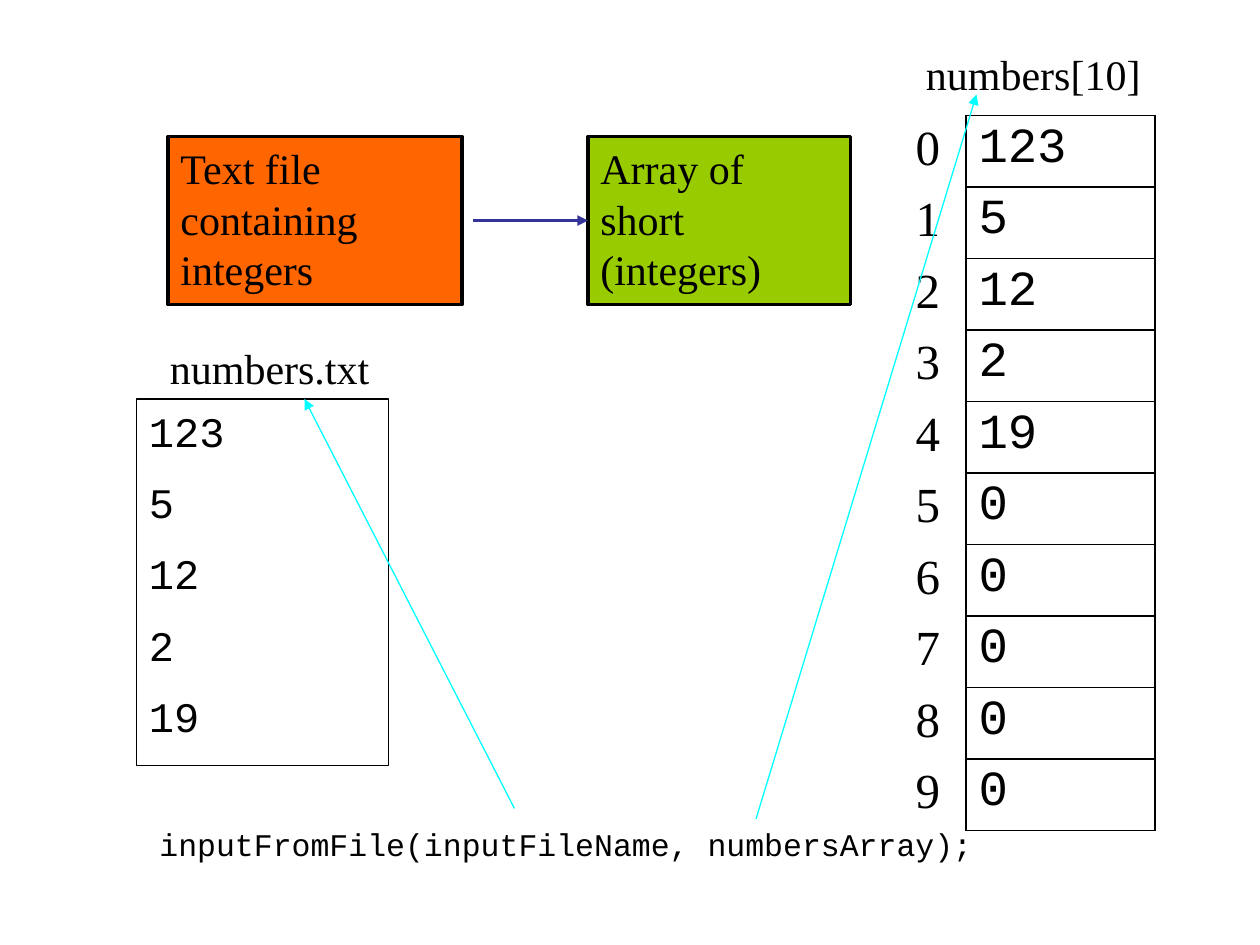
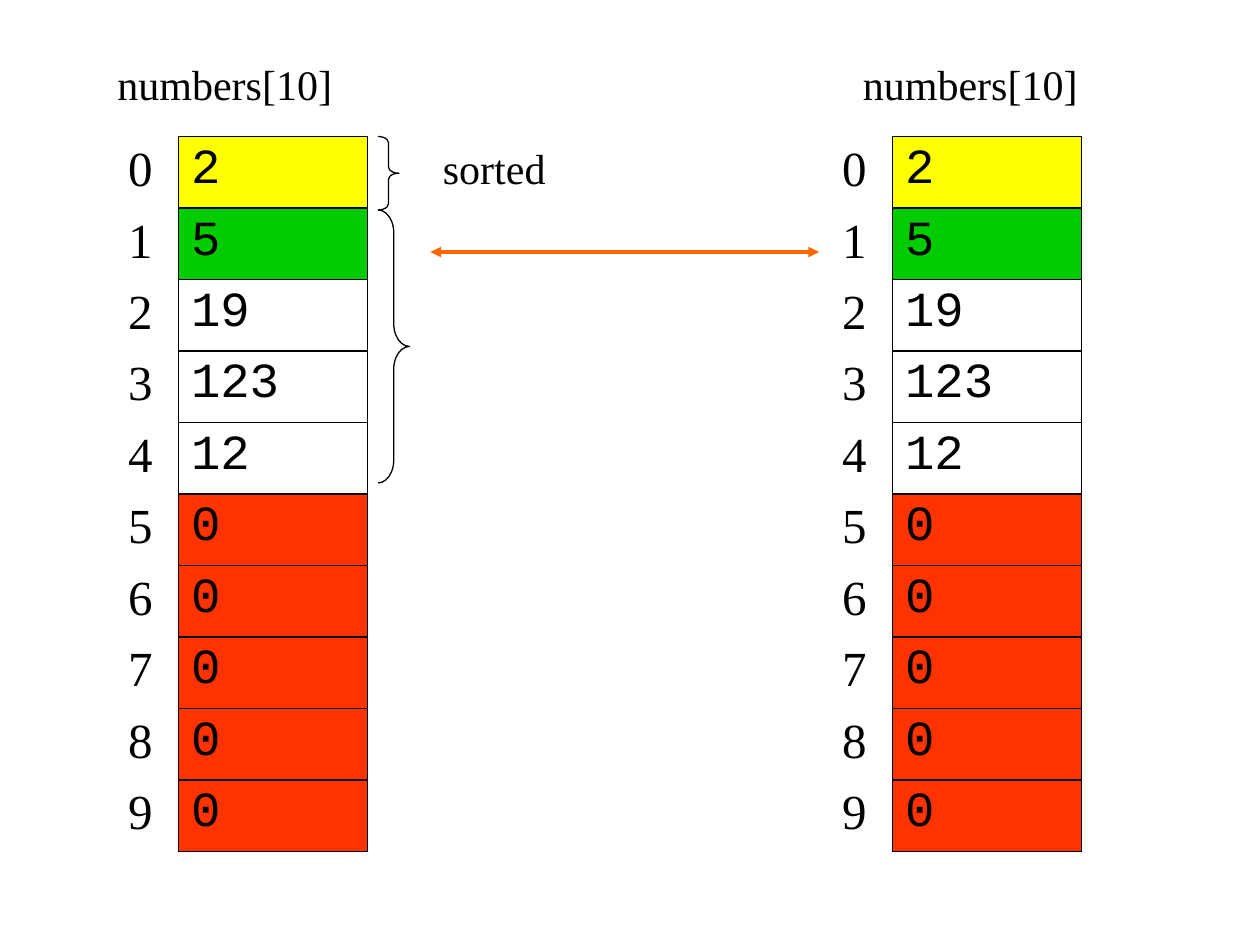
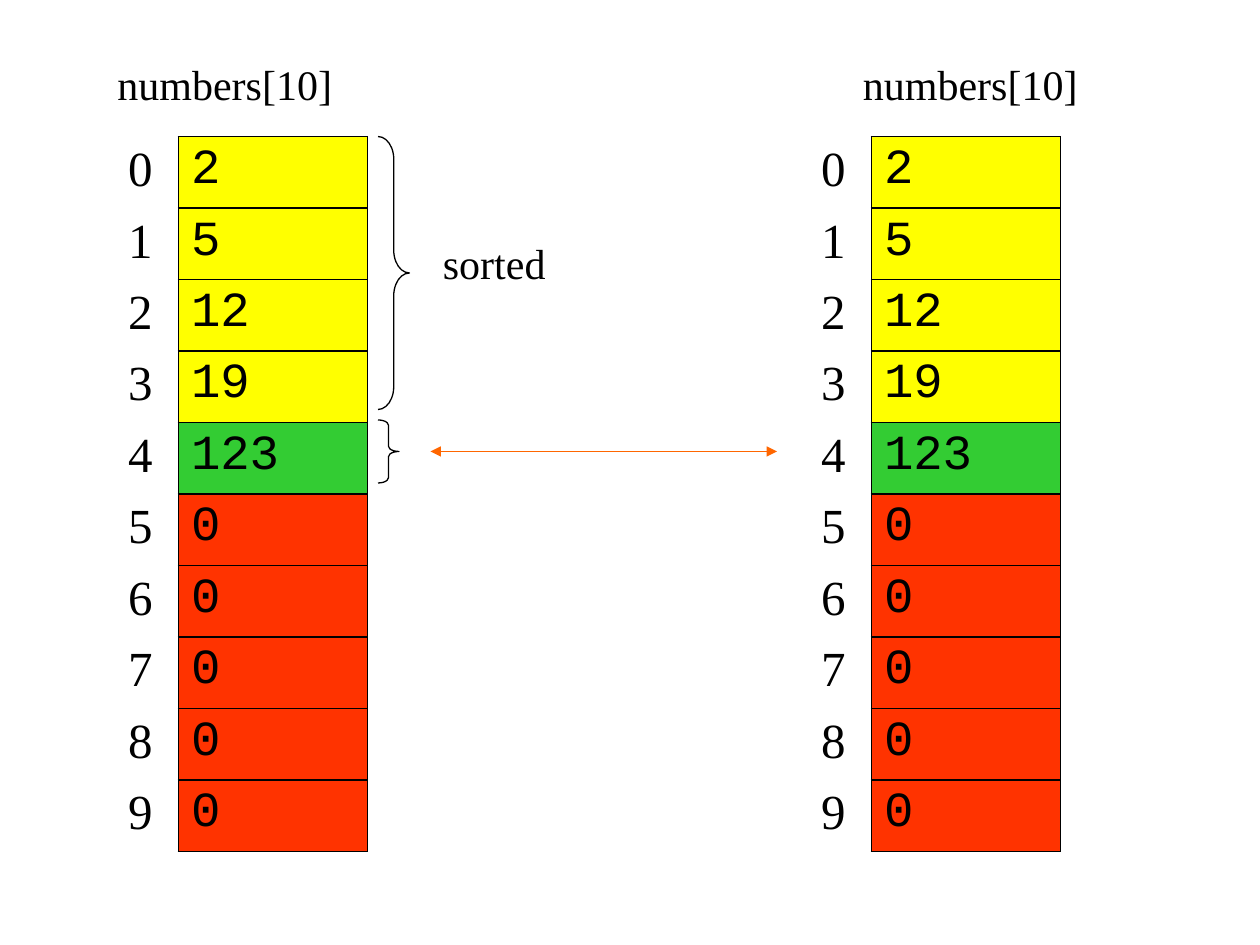
from pptx import Presentation, util as u
from pptx.dml.color import RGBColor
from pptx.enum import shapes, text
from pptx.oxml import parse_xml
from pptx.oxml.ns import nsdecls
from lxml import etree

BLACK = RGBColor(0x00, 0x00, 0x00)
ORANGE = RGBColor(0xFF, 0x66, 0x00)
LIME = RGBColor(0x99, 0xCC, 0x00)
NAVY = RGBColor(0x33, 0x33, 0x99)
CYAN = RGBColor(0x00, 0xFF, 0xFF)
SORTED = RGBColor(0xFF, 0xFF, 0x00)
NEXT = RGBColor(0x00, 0xCC, 0x00)
LAST = RGBColor(0x33, 0xCC, 0x33)
UNUSED = RGBColor(0xFF, 0x33, 0x00)
SERIF, MONO = "Times New Roman", "Courier New"

prs = Presentation()
prs.slide_width, prs.slide_height = u.Inches(10), u.Inches(7.5)
G = prs.slide_width // 120          # square grid: 120 columns, 90 rows
ARRAY_ROW = 6.8                     # height of one array element, in grid rows


def write(tf, lines, font, size, before):
    """Write one paragraph per line, with space before as a percentage."""
    for i, line in enumerate(lines):
        p = tf.paragraphs[0] if i == 0 else tf.add_paragraph()
        spacing = etree.SubElement(p._p.get_or_add_pPr(), f"{{{p._p.nsmap['a']}}}spcBef")
        spacing.append(parse_xml(f'<a:spcPct {nsdecls("a")} val="{before * 1000}"/>'))
        r = p.add_run()
        r.text = line
        r.font.name, r.font.size, r.font.color.rgb = font, u.Pt(size), BLACK


def border(cell, sides):
    """Draw a 1 pt black border on the given sides of a table cell."""
    for side in sides:
        cell._tc.get_or_add_tcPr().append(parse_xml(
            f'<a:ln{side} {nsdecls("a")} w="12700"><a:solidFill>'
            f'<a:srgbClr val="{BLACK}"/></a:solidFill></a:ln{side}>'))


# Boxes: lines, left, top, width, height, fill, outline in points
# Labels: text, left, top, width, height, font, size
# Arrays: left, top, values, fills
# Braces: top, width, height
# Arrows: start, end, colour, weight, whether both ends have a head
unused = [UNUSED] * 5
second_pass = [2, 5, 19, 123, 12] + [0] * 5, [SORTED, NEXT, None, None, None] + unused
last_pass = [2, 5, 12, 19, 123] + [0] * 5, [SORTED] * 4 + [LAST] + unused
heading = "numbers[10]"
pair = [(heading, x, 5, 26, 6, SERIF, 24) for x in (10, 81)]

slides = [
    dict(
        boxes=[(["Text file containing integers"], 16, 13, 28, 16, ORANGE, 2),
               (["Array of short (integers)"], 56, 13, 25, 16, LIME, 2),
               (["123", "5", "12", "2", "19"], 13, 38, 24, 34.9, None, 0.75)],
        labels=[("numbers.txt", 15, 32, 29, 6, SERIF, 24),
                (heading, 87, 4, 26, 6, SERIF, 24),
                ("inputFromFile(inputFileName, numbersArray);", 14, 78, 80, 4.8, MONO, 18)],
        arrays=[(86, 11, [123, 5, 12, 2, 19] + [0] * 5, [None] * 10)],
        braces=[],
        arrows=[((45, 21), (56, 21), NAVY, 2, False),
                ((49, 77), (29, 38), CYAN, 0.75, False),
                ((72, 78), (93, 9), CYAN, 0.75, False)]),
    dict(
        boxes=[],
        labels=pair + [("sorted", 41, 13, 14, 6, SERIF, 24)],
        arrays=[(11, 13, *second_pass), (79, 13, *second_pass)],
        braces=[(13, 2, 7), (20, 3, 26)],
        arrows=[((41, 24), (78, 24), ORANGE, 2, True)]),
    dict(
        boxes=[],
        labels=pair + [("sorted", 41, 22, 14, 6, SERIF, 24)],
        arrays=[(11, 13, *last_pass), (77, 13, *last_pass)],
        braces=[(13, 3, 26), (40, 2, 6)],
        arrows=[((41, 43), (74, 43), ORANGE, 0.75, True)]),
]

for content in slides:
    s = prs.slides.add_slide(prs.slide_layouts[6])

    for lines, x, y, w, h, fill, weight in content["boxes"]:
        sp = s.shapes.add_shape(shapes.MSO_SHAPE.RECTANGLE, *(int(v * G) for v in (x, y, w, h)))
        sp.shadow.inherit = False
        sp.line.color.rgb, sp.line.width = BLACK, u.Pt(weight)
        if fill is None:
            sp.fill.background()
        else:
            sp.fill.solid()
            sp.fill.fore_color.rgb = fill
        tf = sp.text_frame
        tf.word_wrap, tf.vertical_anchor = True, text.MSO_ANCHOR.TOP
        tf.auto_size = text.MSO_AUTO_SIZE.SHAPE_TO_FIT_TEXT
        write(tf, lines, MONO if fill is None else SERIF, 24, 50)
        for p in tf.paragraphs:
            p.alignment = text.PP_ALIGN.LEFT

    for label, x, y, w, h, font, size in content["labels"]:
        tf = s.shapes.add_textbox(*(int(v * G) for v in (x, y, w, h))).text_frame
        tf.word_wrap = True
        tf.auto_size = text.MSO_AUTO_SIZE.SHAPE_TO_FIT_TEXT
        write(tf, [label], font, size, 50)

    for x, y, values, fills in content["arrays"]:
        table = s.shapes.add_table(len(values), 2, x * G, y * G, 24 * G,
                                   int(len(values) * ARRAY_ROW * G)).table
        table.first_row = table.horz_banding = False
        table.columns[0].width, table.columns[1].width = 6 * G, 18 * G
        for i, (value, fill) in enumerate(zip(values, fills)):
            table.rows[i].height = int(ARRAY_ROW * G)
            index, element = table.cell(i, 0), table.cell(i, 1)
            write(index.text_frame, [str(i)], SERIF, 28, 20)
            write(element.text_frame, [str(value)], MONO, 28, 20)
            border(index, "R")
            border(element, "LRTB")
            index.fill.background()
            if fill is None:
                element.fill.background()
            else:
                element.fill.solid()
                element.fill.fore_color.rgb = fill

    for y, w, h in content["braces"]:
        sp = s.shapes.add_shape(shapes.MSO_SHAPE.RIGHT_BRACE, 36 * G, y * G, w * G, h * G)
        sp.shadow.inherit = False
        sp.fill.background()
        sp.line.color.rgb, sp.line.width = BLACK, u.Pt(0.75)
        sp.adjustments[0] = h / w / 12      # curl is a twelfth of the height

    for (x1, y1), (x2, y2), color, weight, both in content["arrows"]:
        line = s.shapes.add_connector(shapes.MSO_CONNECTOR.STRAIGHT,
                                      x1 * G, y1 * G, x2 * G, y2 * G)
        line.line.color.rgb, line.line.width = color, u.Pt(weight)
        for end in ("headEnd", "tailEnd") if both else ("tailEnd",):
            line.line._ln.append(parse_xml(f'<a:{end} {nsdecls("a")} type="triangle"/>'))
        line._element.spPr.append(parse_xml(f'<a:effectLst {nsdecls("a")}/>'))

prs.save("out.pptx")
